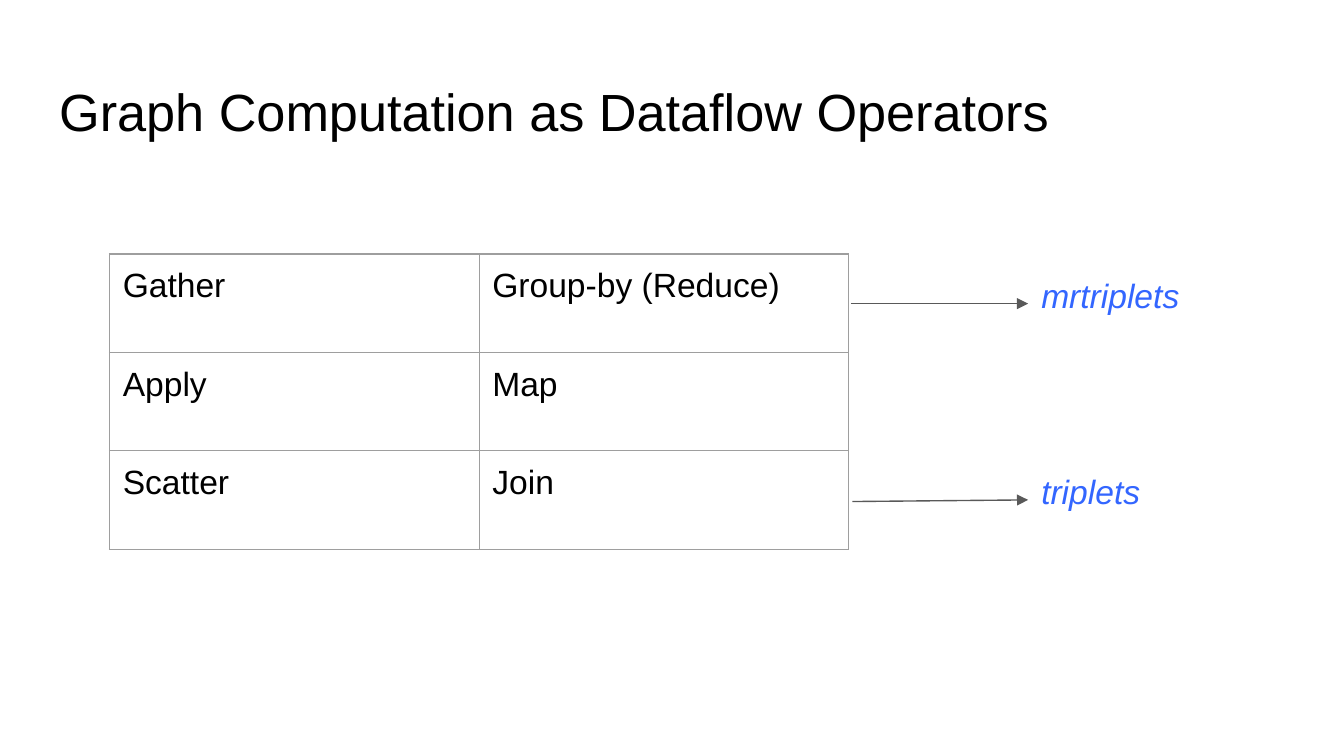
from lxml import etree
from pptx import Presentation
from pptx import util as u
from pptx.dml.color import RGBColor
from pptx.enum import shapes, text
from pptx.oxml.ns import qn

BLACK = RGBColor(0x00, 0x00, 0x00)
BLUE = RGBColor(0x33, 0x66, 0xFF)
ARROW_GREY = RGBColor(0x59, 0x59, 0x59)
BORDER_GREY = RGBColor(0x9E, 0x9E, 0x9E)
FONT = "Arial"
INSET = u.Cm(0.25)
LINE_WIDTH = u.Pt(0.75)

OPERATORS = [
    ("Gather", "Group-by (Reduce)"),
    ("Apply", "Map"),
    ("Scatter", "Join"),
]


def set_insets(holder):
    holder.margin_left = holder.margin_right = INSET
    holder.margin_top = holder.margin_bottom = INSET


def add_run(paragraph, words, size, color, italic=False):
    run = paragraph.add_run()
    run.text = words
    run.font.name = FONT
    run.font.size = u.Pt(size)
    run.font.italic = italic
    run.font.color.rgb = color


def add_label(slide, box, words, size, color, italic=False):
    frame = slide.shapes.add_textbox(*map(u.Cm, box)).text_frame
    frame.word_wrap = True
    frame.vertical_anchor = text.MSO_ANCHOR.TOP
    set_insets(frame)
    add_run(frame.paragraphs[0], words, size, color, italic)


def draw_borders(cell):
    properties = cell._tc.get_or_add_tcPr()
    for position, side in enumerate(("a:lnL", "a:lnR", "a:lnT", "a:lnB")):
        border = etree.Element(qn(side), w=str(LINE_WIDTH))
        fill = etree.SubElement(border, qn("a:solidFill"))
        etree.SubElement(fill, qn("a:srgbClr"), val=str(BORDER_GREY))
        properties.insert(position, border)


def add_operator_table(slide, box):
    """Graph steps on the left, their dataflow operators on the right."""
    frame = slide.shapes.add_table(len(OPERATORS), 2, *map(u.Cm, box))
    table = frame.table
    table.first_row = table.horz_banding = False
    for row, operators in enumerate(OPERATORS):
        for column, operator in enumerate(operators):
            cell = table.cell(row, column)
            cell.fill.background()
            set_insets(cell)
            draw_borders(cell)
            add_run(cell.text_frame.paragraphs[0], operator, 18, BLACK)


def add_result(slide, box, words, arrow_start, arrow_end):
    """Arrow from the table to the left edge of the result's label box."""
    add_label(slide, box, words, 18, BLUE, italic=True)
    ends = (*arrow_start, *arrow_end)
    arrow = slide.shapes.add_connector(
        shapes.MSO_CONNECTOR.STRAIGHT, *map(u.Cm, ends))
    arrow.line.color.rgb = ARROW_GREY
    arrow.line.width = LINE_WIDTH
    etree.SubElement(arrow.line._get_or_add_ln(), qn("a:tailEnd"),
                     type="triangle", w="med", len="med")
    etree.SubElement(arrow._element.spPr, qn("a:effectLst"))


def main():
    deck = Presentation()
    deck.slide_width, deck.slide_height = u.Cm(25.4), u.Cm(14.29)
    slide = deck.slides.add_slide(deck.slide_layouts[6])

    # Title
    add_label(slide, (0.87, 1.24, 23.67, 1.6),
              "Graph Computation as Dataflow Operators", 28, BLACK)

    # Operators
    add_operator_table(slide, (2.07, 4.8, 13.97, 5.58))

    # Results of the gather and scatter steps
    label_left = 19.43
    add_result(slide, (label_left, 4.95, 3.94, 1.6), "mrtriplets",
               (16.08, 5.74), (label_left, 5.74))
    add_result(slide, (label_left, 8.66, 2.92, 1.6), "triplets",
               (16.11, 9.48), (label_left, 9.45))

    deck.save("out.pptx")


if __name__ == "__main__":
    main()
